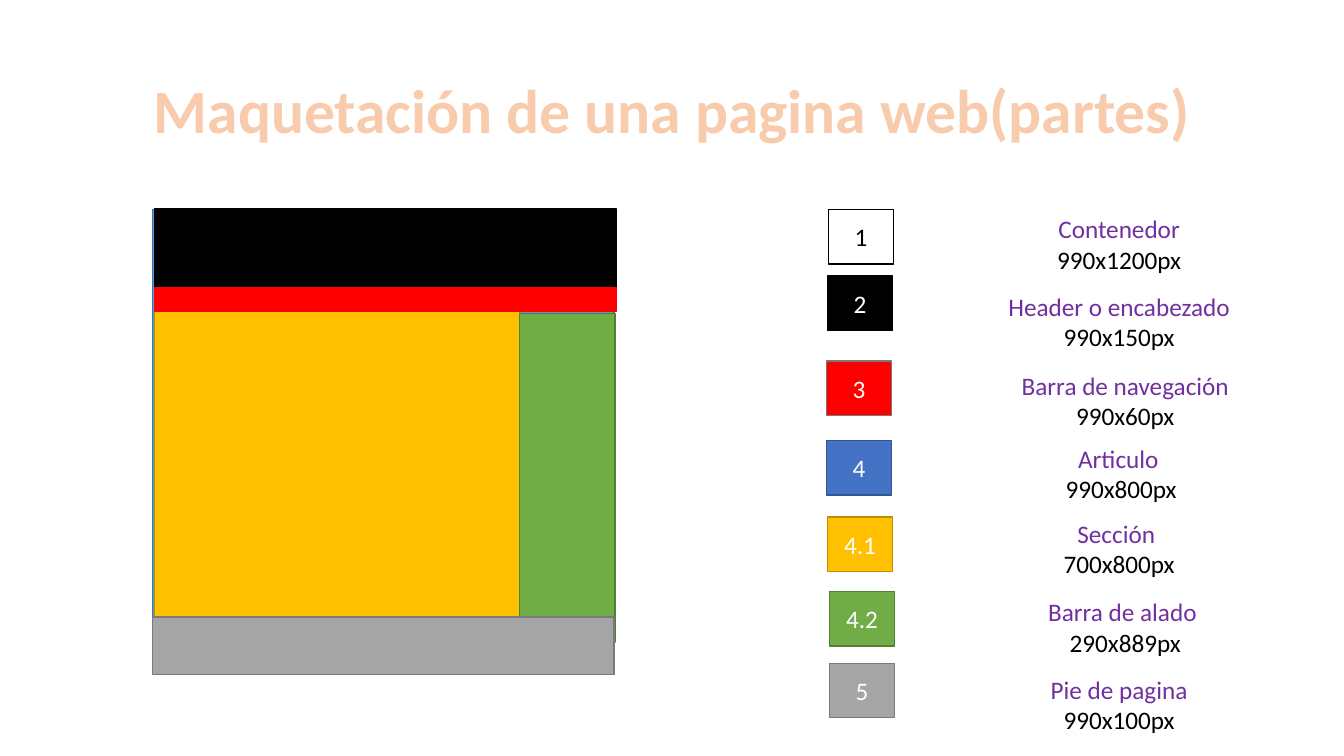
from dataclasses import dataclass

from lxml.etree import SubElement
from pptx import Presentation
from pptx.dml.color import RGBColor
from pptx.enum.shapes import MSO_SHAPE
from pptx.enum.text import MSO_ANCHOR, MSO_AUTO_SIZE, PP_ALIGN
from pptx.oxml.ns import qn
from pptx.util import Inches, Pt


@dataclass(frozen=True)
class Theme:
    font: str = "Calibri"
    title_size: int = 44
    text_size: int = 18
    title: str = "F8CBAD"
    title_outline: str = "ED7D31"
    part_name: str = "7030A0"
    white: str = "FFFFFF"
    black: str = "000000"
    red: str = "FF0000"
    gold: str = "FFC000"
    dark_gold: str = "BD8E00"
    green: str = "70AD47"
    dark_green: str = "538035"
    gray: str = "A5A5A5"
    dark_gray: str = "7A7A7A"
    sky: str = "5B9BD5"
    dark_sky: str = "43739E"
    blue: str = "4472C4"
    dark_blue: str = "325491"


THEME = Theme()
BADGE_SIZE = (0.64, 0.54)
LABEL_HEIGHT = 0.71

# left, top, width, height, fill, line
PAGE_PARTS = [
    (1.51, 2.08, 4.58, 4.58, THEME.sky, THEME.dark_sky),
    (1.53, 2.07, 4.58, 0.78, THEME.black, THEME.black),
    (1.53, 3.08, 3.62, 3.26, THEME.gold, THEME.dark_gold),
    (5.15, 3.11, 0.95, 3.26, THEME.green, THEME.dark_green),
    (1.51, 6.12, 4.58, 0.57, THEME.gray, THEME.dark_gray),
    (1.53, 2.85, 4.58, 0.24, THEME.red, THEME.red),
]

# number, left, top, fill, line, number colour
BADGES = [
    ("1", 8.22, 2.08, THEME.white, THEME.black, THEME.black),
    ("2", 8.21, 2.74, THEME.black, THEME.black, THEME.white),
    ("3", 8.2, 3.58, THEME.red, THEME.dark_gray, THEME.white),
    ("4", 8.2, 4.37, THEME.blue, THEME.dark_blue, THEME.white),
    ("4.1", 8.21, 5.13, THEME.gold, THEME.dark_gold, THEME.white),
    ("4.2", 8.23, 5.87, THEME.green, THEME.dark_green, THEME.white),
    ("5", 8.23, 6.58, THEME.gray, THEME.dark_gray, THEME.white),
]

# name, size, left, top, width, wrap
LABELS = [
    ("Contenedor", "990x1200px", 10.38, 2.07, 1.44, False),
    ("Header o encabezado", "990x150px", 9.58, 2.84, 3.04, True),
    ("Barra de navegación", "990x60px", 10.02, 3.62, 2.28, False),
    ("Articulo ", "990x800px", 9.95, 4.35, 2.34, True),
    ("Sección ", "700x800px", 9.92, 5.09, 2.36, True),
    ("Barra de alado ", "290x889px", 9.7, 5.87, 2.92, True),
    ("Pie de pagina", "990x100px", 10.31, 6.64, 1.58, False),
]


def set_attributes(target, values):
    for name, value in values.items():
        setattr(target, name, value)


def write_line(paragraph, text, color, size=THEME.text_size, bold=False):
    paragraph.alignment = PP_ALIGN.CENTER
    run = paragraph.add_run()
    run.text = text
    set_attributes(run.font, {"name": THEME.font, "size": Pt(size), "bold": bold})
    run.font.color.rgb = RGBColor.from_string(color)
    return run


def outline_text(run, color, width):
    properties = run.font._element
    line = SubElement(properties, qn("a:ln"), w=str(Pt(width)))
    fill = SubElement(line, qn("a:solidFill"))
    SubElement(fill, qn("a:srgbClr"), val=color)
    properties.insert(0, line)


def add_title(slide, text):
    title = slide.shapes.title
    set_attributes(title, {"left": Inches(0.92), "top": Inches(0.4),
                           "width": Inches(11.5), "height": Inches(1.45)})
    set_attributes(title.text_frame, {"vertical_anchor": MSO_ANCHOR.MIDDLE,
                                      "word_wrap": True})
    paragraph = title.text_frame.paragraphs[0]
    paragraph.line_spacing = 0.9
    run = write_line(paragraph, text, THEME.title, THEME.title_size, True)
    outline_text(run, THEME.title_outline, 1.75)


def add_box(slide, left, top, width, height, fill, line):
    box = slide.shapes.add_shape(MSO_SHAPE.RECTANGLE, Inches(left), Inches(top),
                                 Inches(width), Inches(height))
    box.shadow.inherit = False
    box.fill.solid()
    box.fill.fore_color.rgb = RGBColor.from_string(fill)
    box.line.color.rgb = RGBColor.from_string(line)
    box.line.width = Pt(1)
    return box


def add_badge(slide, number, left, top, fill, line, color):
    badge = add_box(slide, left, top, *BADGE_SIZE, fill, line)
    badge.text_frame.vertical_anchor = MSO_ANCHOR.MIDDLE
    write_line(badge.text_frame.paragraphs[0], number, color)


def add_label(slide, name, size, left, top, width, wrap):
    label = slide.shapes.add_textbox(Inches(left), Inches(top),
                                     Inches(width), Inches(LABEL_HEIGHT))
    frame = label.text_frame
    set_attributes(frame, {"word_wrap": wrap,
                           "auto_size": MSO_AUTO_SIZE.SHAPE_TO_FIT_TEXT})
    write_line(frame.paragraphs[0], name, THEME.part_name)
    write_line(frame.add_paragraph(), size, THEME.black)


def main():
    presentation = Presentation()
    set_attributes(presentation, {"slide_width": Inches(13.33),
                                  "slide_height": Inches(7.5)})
    title_only = presentation.slide_layouts.get_by_name("Title Only")
    slide = presentation.slides.add_slide(title_only)
    add_title(slide, "Maquetación de una pagina web(partes)")
    for part in PAGE_PARTS:
        add_box(slide, *part)
    for badge in BADGES:
        add_badge(slide, *badge)
    for label in LABELS:
        add_label(slide, *label)
    presentation.save("out.pptx")


if __name__ == "__main__":
    main()
